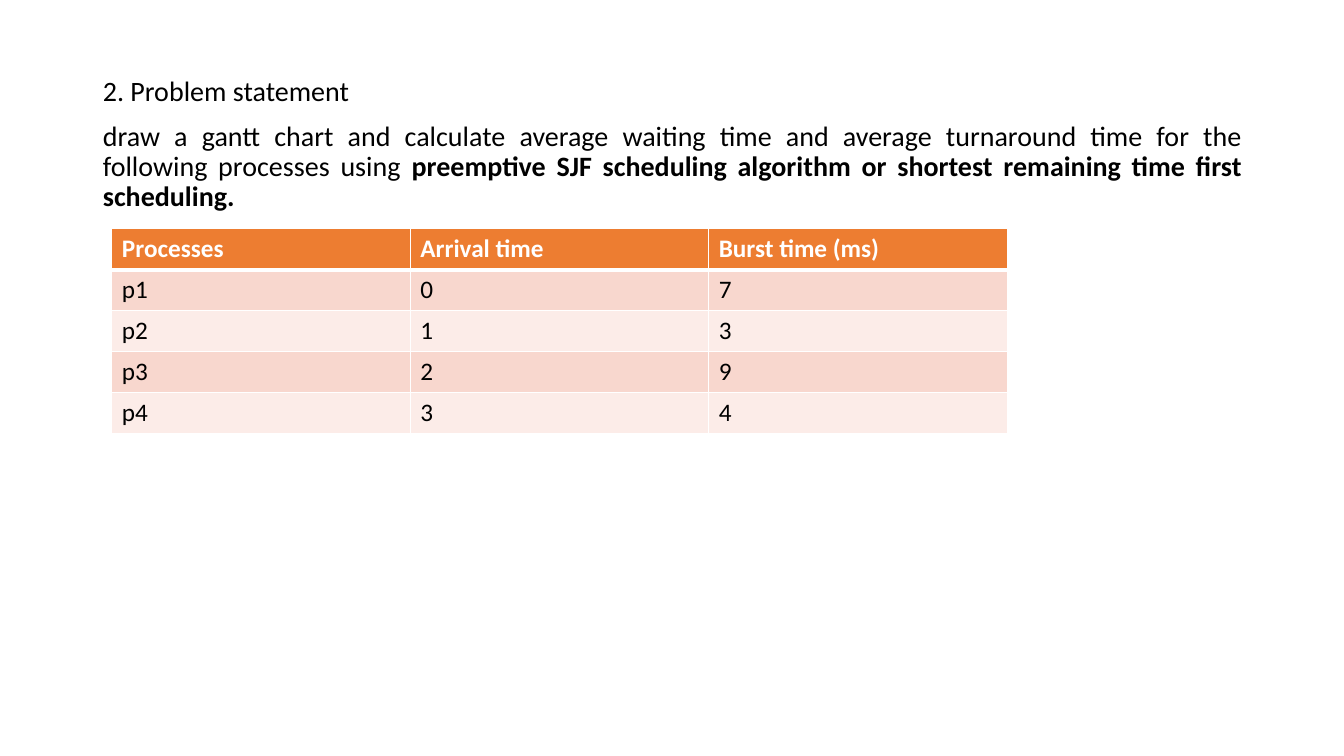
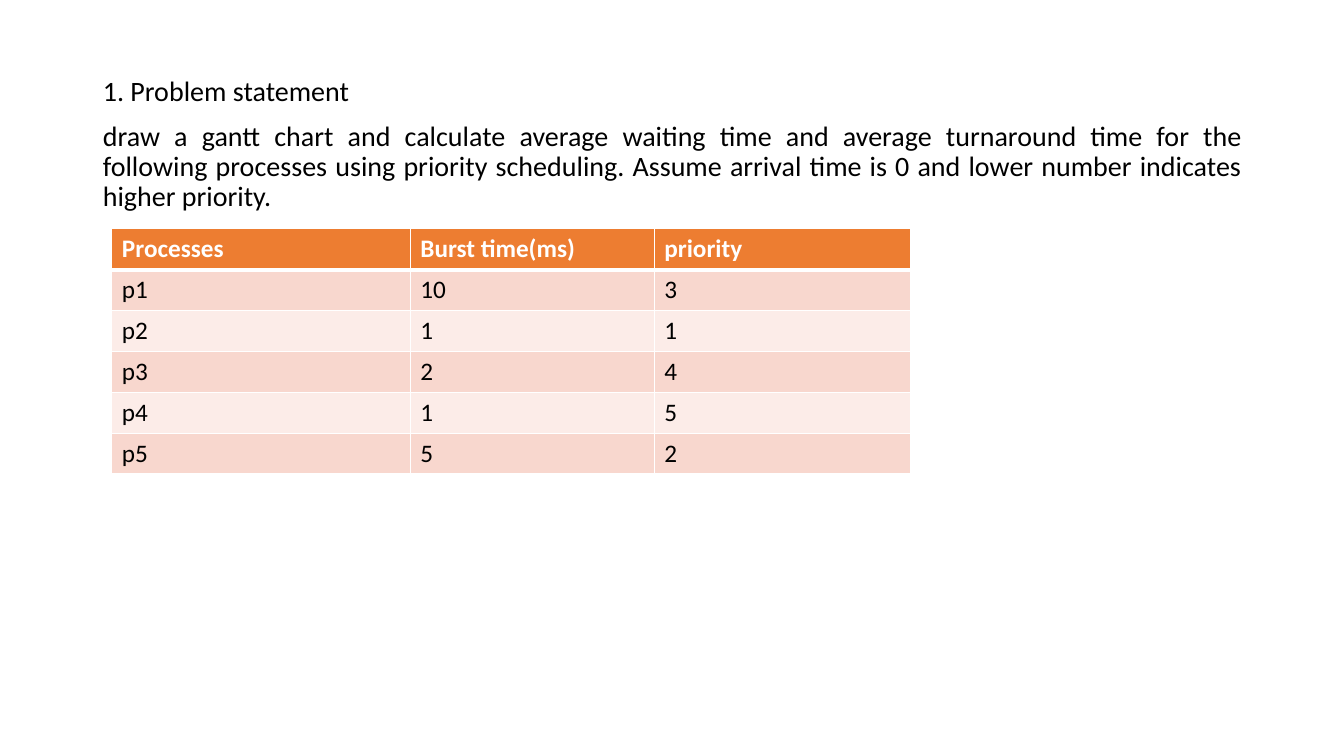
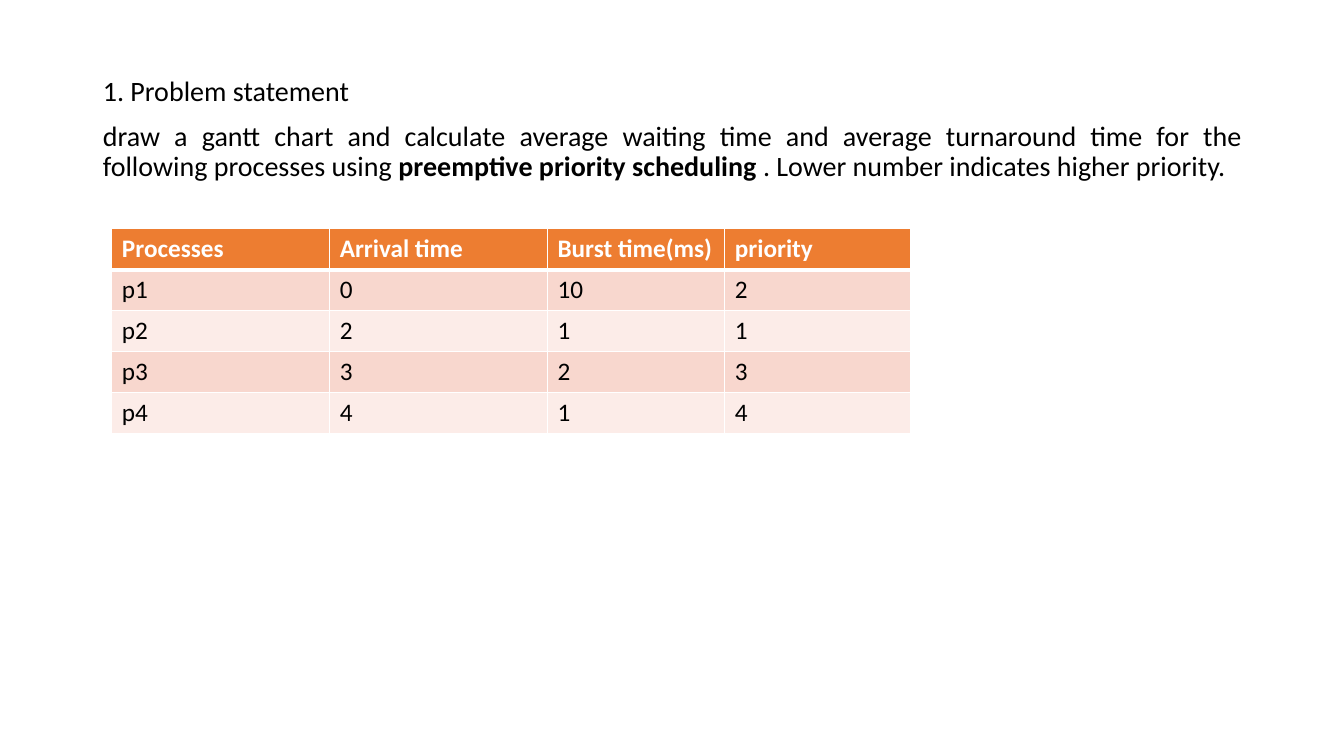
from lxml.etree import SubElement
from pptx import Presentation
from pptx.dml.color import RGBColor
from pptx.enum.text import MSO_AUTO_SIZE, PP_ALIGN
from pptx.oxml.ns import qn
from pptx.util import Inches, Pt

FONT = "Calibri"
BLACK = "000000"
WHITE = "FFFFFF"
HEADER_FILL = "ED7D31"
BAND_FILLS = ("F8D7CE", "FCECE8")
ROW_HEIGHT = Pt(29.2)
HEADING = "Problem statement"
TASK = (
    "draw a gantt chart and calculate average waiting time and average "
    "turnaround time for the following processes using "
)

PROBLEMS = [
    {
        "number": 2,
        "task": [
            (TASK, False),
            ("preemptive SJF scheduling algorithm or shortest remaining time first scheduling.", True),
        ],
        "widths": [2.96, 2.96, 2.96],
        "rows": [
            ("Processes", "Arrival time", "Burst time (ms)"),
            ("p1", 0, 7),
            ("p2", 1, 3),
            ("p3", 2, 9),
            ("p4", 3, 4),
        ],
    },
    {
        "number": 1,
        "task": [
            (
                TASK + "priority scheduling. Assume arrival time is 0 and "
                "lower number indicates higher priority.",
                False,
            ),
        ],
        "widths": [2.96, 2.42, 2.54],
        "rows": [
            ("Processes", "Burst time(ms)", "priority"),
            ("p1", 10, 3),
            ("p2", 1, 1),
            ("p3", 2, 4),
            ("p4", 1, 5),
            ("p5", 5, 2),
        ],
    },
    {
        "number": 1,
        "task": [
            (TASK, False),
            ("preemptive priority scheduling ", True),
            (". Lower number indicates higher priority.", False),
        ],
        "widths": [2.16, 2.16, 1.76, 1.84],
        "rows": [
            ("Processes", "Arrival time", "Burst time(ms)", "priority"),
            ("p1", 0, 10, 2),
            ("p2", 2, 1, 1),
            ("p3", 3, 2, 3),
            ("p4", 4, 1, 4),
        ],
    },
]


def color(hex_code):
    return RGBColor.from_string(hex_code)


def style_font(paragraph, size, hex_code):
    font = paragraph.font
    font.name = FONT
    font.size = Pt(size)
    font.color.rgb = color(hex_code)


def add_statement_line(paragraph, pieces, alignment):
    paragraph.alignment = alignment
    paragraph.line_spacing = 0.9
    paragraph.space_before = Pt(10)
    properties = paragraph._p.get_or_add_pPr()
    properties.set("marL", "0")
    properties.set("indent", "0")
    SubElement(properties, qn("a:buNone"))
    style_font(paragraph, 20, BLACK)
    for words, bold in pieces:
        run = paragraph.add_run()
        run.text = words
        if bold:
            run.font.bold = True


def add_statement(slide, number, task):
    heading = slide.shapes.title
    heading._element.getparent().remove(heading._element)
    statement = slide.placeholders[1]
    statement.left, statement.top = Inches(0.92), Inches(0.72)
    statement.width, statement.height = Inches(11.5), Inches(6.1)
    frame = statement.text_frame
    frame.auto_size = MSO_AUTO_SIZE.NONE
    add_statement_line(frame.paragraphs[0], [(f"{number}. {HEADING}", False)], PP_ALIGN.LEFT)
    add_statement_line(frame.add_paragraph(), task, PP_ALIGN.JUSTIFY)


def set_borders(cell, top, bottom):
    properties = cell._tc.get_or_add_tcPr()
    for side, width in (("L", 1), ("R", 1), ("T", top), ("B", bottom)):
        border = SubElement(properties, qn(f"a:ln{side}"), w=str(Pt(width)))
        fill = SubElement(border, qn("a:solidFill"))
        SubElement(fill, qn("a:srgbClr"), val=WHITE)


def fill_cell(cell, value, row_index):
    is_header = row_index == 0
    set_borders(cell, top=3 if row_index == 1 else 1, bottom=3 if is_header else 1)
    cell.fill.solid()
    cell.fill.fore_color.rgb = color(HEADER_FILL if is_header else BAND_FILLS[(row_index - 1) % 2])
    cell.text = str(value)
    label = cell.text_frame.paragraphs[0]
    style_font(label, 18, WHITE if is_header else BLACK)
    label.font.bold = is_header


def add_process_table(slide, widths, rows):
    processes = slide.shapes.add_table(
        len(rows), len(widths), Inches(1.11), Inches(2.27),
        Inches(sum(widths)), ROW_HEIGHT * len(rows),
    ).table
    for column, width in zip(processes.columns, widths):
        column.width = Inches(width)
    for row_index, values in enumerate(rows):
        processes.rows[row_index].height = ROW_HEIGHT
        for column_index, value in enumerate(values):
            fill_cell(processes.cell(row_index, column_index), value, row_index)


def main():
    deck = Presentation()
    deck.slide_width, deck.slide_height = Inches(13.33), Inches(7.5)
    for problem in PROBLEMS:
        slide = deck.slides.add_slide(deck.slide_layouts[1])
        add_statement(slide, problem["number"], problem["task"])
        add_process_table(slide, problem["widths"], problem["rows"])
    deck.save("out.pptx")


if __name__ == "__main__":
    main()
